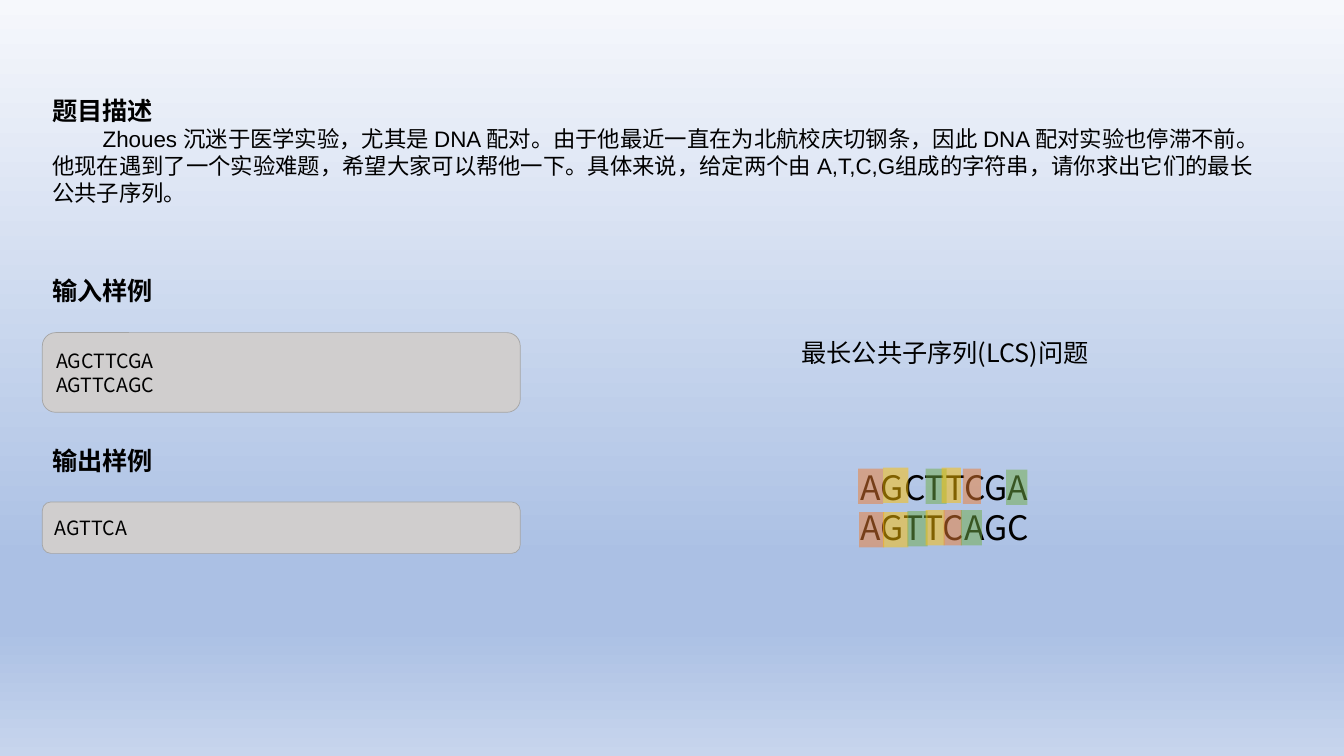
import copy
import pptx
import pptx.util
import pptx.dml.color
import pptx.enum.shapes
import pptx.enum.text
import pptx.oxml
import pptx.oxml.ns

# Content
SANS, LATIN = "Noto Sans CJK SC", "Arial"
WIDE, HIGH = 13.33, 7.5
LEFT = 0.42
SKY = [(0, "F6F8FC"), (74, "ABC0E4"), (83, "ABC0E4"), (100, "C7D5ED")]
TASK = [
    [("题目描述", 18, SANS, True)],
    [("Zhoues 沉迷于医学实验，尤其是 DNA 配对。由于他最近一直在为北航校庆切钢条，"
      "因此 DNA 配对实验也停滞不前。他现在遇到了一个实验难题，希望大家可以帮他一下。"
      "具体来说，给定两个由 A,T,C,G", 16, LATIN, False),
     ("组成的字符串，请你求出它们的最长公共子序列。", 16, SANS, False)],
]
STRANDS = ["AGCTTCGA", "AGTTCAGC"]
SHARED = "AGTTCA"
# heading, its top, lines of the panel, panel top, panel height
SAMPLES = [("输入样例", 2.68, STRANDS, 3.3, 0.79),
           ("输出样例", 4.37, [SHARED], 4.98, 0.51)]
TOPIC = "最长公共子序列(LCS)问题"
# left edge, top and width of each shared letter, per strand
TINTS = ["ED7D31", "FFC000", "70AD47", "FFC000", "ED7D31", "70AD47"]
MARKS = [
    [(8.51, 4.65, 0.25), (8.76, 4.64, 0.25), (9.18, 4.65, 0.21),
     (9.34, 4.64, 0.19), (9.55, 4.65, 0.18), (9.98, 4.66, 0.21)],
    [(8.52, 5.08, 0.25), (8.76, 5.08, 0.25), (9.0, 5.07, 0.2),
     (9.18, 5.06, 0.19), (9.36, 5.06, 0.18), (9.53, 5.06, 0.21)],
]

inch = pptx.util.Inches
qn = pptx.oxml.ns.qn
KIND = pptx.enum.shapes.MSO_SHAPE
MID = pptx.enum.text.MSO_ANCHOR.MIDDLE
TOP = pptx.enum.text.MSO_ANCHOR.TOP


def tint(code):
    return pptx.dml.color.RGBColor.from_string(code)


def plain(lines, size):
    return [[(line, size, SANS, False)] for line in lines]


def write(shape, paras, anchor):
    frame = shape.text_frame
    frame.word_wrap = True
    frame.vertical_anchor = anchor
    for i, runs in enumerate(paras):
        para = frame.paragraphs[0] if i == 0 else frame.add_paragraph()
        para.alignment = pptx.enum.text.PP_ALIGN.LEFT
        for text, size, face, bold in runs:
            run = para.add_run()
            run.text = text
            font = run.font
            font.size, font.name, font.bold = pptx.util.Pt(size), face, bold
            font.color.rgb = tint("000000")
            east = pptx.oxml.parse_xml(
                f'<a:ea {pptx.oxml.ns.nsdecls("a")} typeface="{SANS}"/>')
            font._element.find(qn("a:latin")).addnext(east)


def label(slide, box, paras, anchor=MID):
    shape = slide.shapes.add_textbox(*map(inch, box))
    write(shape, paras, anchor)
    shape.text_frame.auto_size = pptx.enum.text.MSO_AUTO_SIZE.SHAPE_TO_FIT_TEXT
    return shape


def block(slide, kind, box, color):
    shape = slide.shapes.add_shape(kind, *map(inch, box))
    shape.shadow.inherit = False
    shape.fill.solid()
    shape.fill.fore_color.rgb = tint(color)
    shape.line.fill.background()
    return shape


def paint(slide):
    fill = slide.background.fill
    fill.gradient()
    fill.gradient_angle = 270
    stops = slide.background._cSld.find(".//" + qn("a:gsLst"))
    for _ in range(len(SKY) - len(stops)):
        stops.append(copy.deepcopy(stops[0]))
    for stop, (share, color) in zip(fill.gradient_stops, SKY):
        stop.position = share / 100
        stop.color.rgb = tint(color)


def main():
    deck = pptx.Presentation()
    deck.slide_width, deck.slide_height = inch(WIDE), inch(HIGH)
    slide = deck.slides.add_slide(deck.slide_layouts[6])
    paint(slide)

    # Task, its body indented and with no full stop past the margin
    task = label(slide, (LEFT, 0.89, 12.24, 1.21), TASK)
    form = task.text_frame.paragraphs[1]._p.get_or_add_pPr()
    form.set("indent", str(inch(0.5)))
    form.set("hangingPunct", "0")

    # Samples
    for head, top, lines, base, tall in SAMPLES:
        label(slide, (LEFT, top, 5.64, 0.4), [[(head, 18, SANS, True)]])
        panel = block(slide, KIND.ROUNDED_RECTANGLE,
                      (LEFT, base, 4.74, tall), "D0CECE")
        panel.line.color.rgb = tint("A5A5A5")
        panel.line.width = pptx.util.Pt(0.5)
        write(panel, plain(lines, 14), MID)

    # Topic and the two strands
    label(slide, (7.85, 3.3, 3.25, 0.4), plain([TOPIC], 18), TOP)
    label(slide, (8.44, 4.58, 2, 0.91), plain(STRANDS, 24), TOP)

    # Half-clear marks over the shared letters
    for spans in MARKS:
        for (left, top, width), color in zip(spans, TINTS):
            mark = block(slide, KIND.RECTANGLE, (left, top, width, 0.35), color)
            shade = mark._element.spPr.find(".//" + qn("a:srgbClr"))
            shade.append(pptx.oxml.parse_xml(
                f'<a:alpha {pptx.oxml.ns.nsdecls("a")} val="50000"/>'))

    deck.save("out.pptx")


if __name__ == "__main__":
    main()
